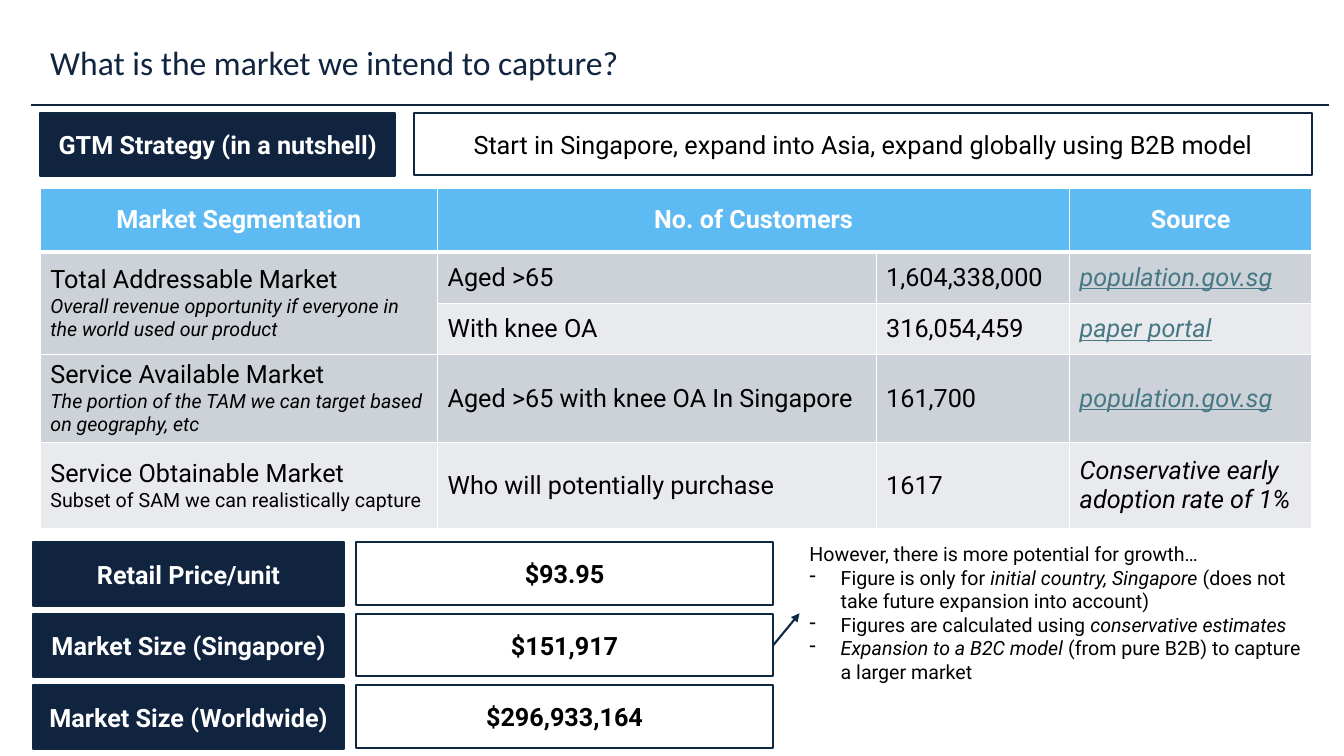
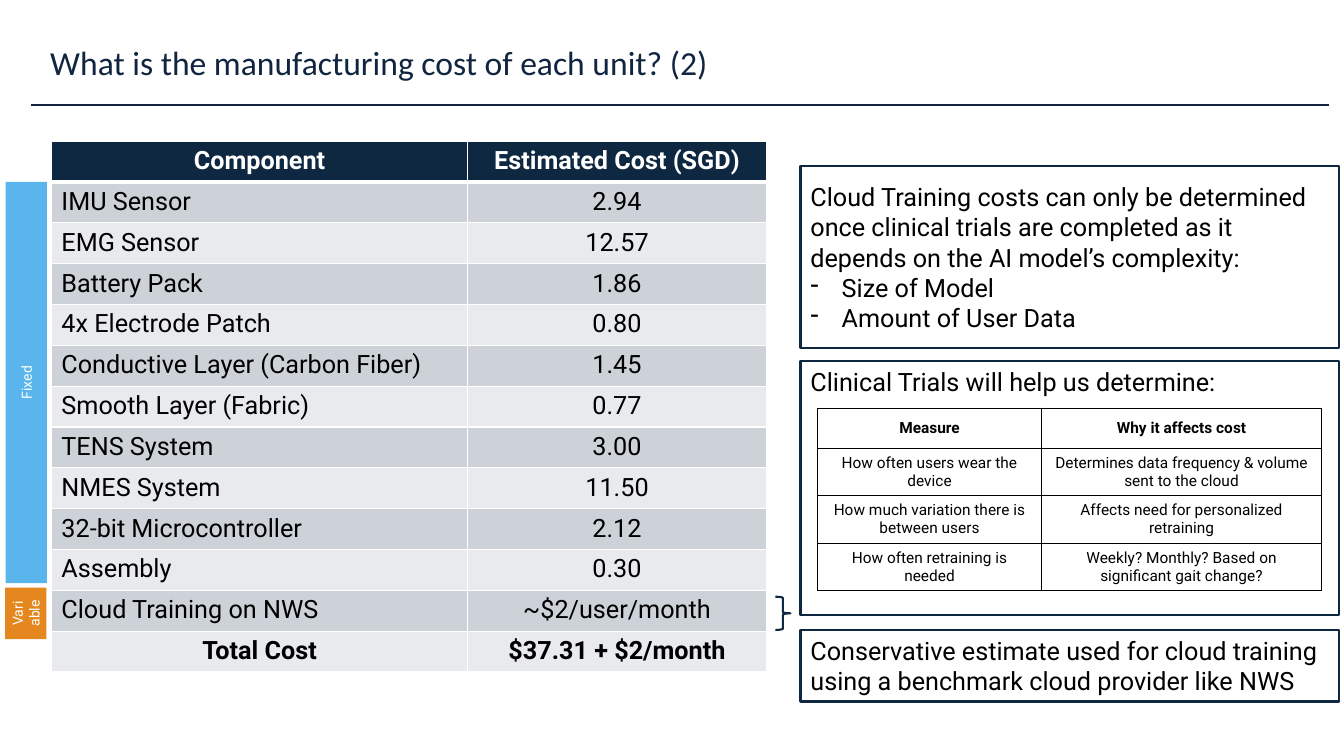
"""Builds two slides on the target market and the unit manufacturing cost."""
from dataclasses import dataclass, replace

from lxml import etree
from pptx import Presentation
from pptx.dml.color import RGBColor
from pptx.enum.shapes import MSO_CONNECTOR, MSO_SHAPE
from pptx.enum.text import MSO_ANCHOR, PP_ALIGN
from pptx.oxml.ns import qn
from pptx.util import Inches, Pt

STRAIGHT = MSO_CONNECTOR.STRAIGHT
RECTANGLE = MSO_SHAPE.RECTANGLE
BRACE = MSO_SHAPE.RIGHT_BRACE
TOP, MIDDLE = MSO_ANCHOR.TOP, MSO_ANCHOR.MIDDLE
LEFT, CENTER = PP_ALIGN.LEFT, PP_ALIGN.CENTER
LEFT_SIDE, RIGHT_SIDE = 1, 3


@dataclass(frozen=True)
class Theme:
    title_font: str = "Calibri"
    body_font: str = "Roboto"
    title: str = "112541"
    navy: str = "10233F"
    outline: str = "0E2841"
    sky: str = "5DBAF3"
    fixed: str = "59B5EC"
    variable: str = "E3871E"
    link: str = "467886"
    black: str = "000000"
    white: str = "FFFFFF"
    bands: tuple = ("E8EAED", "CCD2D8")
    title_size: int = 24
    body_size: int = 18
    note_size: int = 14
    small_size: int = 11
    tag_size: int = 10
    line_width: float = 1.5


THEME = Theme()


@dataclass(frozen=True)
class Text:
    content: str
    size: int = THEME.body_size
    color: str = THEME.black
    bold: bool = False
    italic: bool = False
    underline: bool = False
    align: PP_ALIGN = LEFT
    bullet: bool = False
    font: str = THEME.body_font


def rgb(color):
    return RGBColor.from_string(color)


def heading(content, color=THEME.white, size=THEME.body_size):
    return Text(content, size, color, bold=True, align=CENTER)


def note(content, **options):
    return Text(content, THEME.note_size, **options)


def link(content):
    return Text(content, color=THEME.link, italic=True, underline=True)


class Deck:
    def __init__(self, theme):
        self.theme = theme
        self.presentation = Presentation()
        self.presentation.slide_width = Inches(13.33)
        self.presentation.slide_height = Inches(7.5)
        self.slide = None

    def add_slide(self, title):
        layout = self.presentation.slide_layouts[6]
        self.slide = self.presentation.slides.add_slide(layout)
        self.line((0.31, 1.04), (13.18, 1.04), self.theme.title)
        self.text_box((0.4, 0.37, 10.14, 0.5), Text(
            title, self.theme.title_size, self.theme.title, font=self.theme.title_font))

    def set_texts(self, frame, texts):
        for index, text in enumerate(texts):
            paragraph = frame.add_paragraph() if index else frame.paragraphs[0]
            if text.bullet:
                properties = paragraph._p.get_or_add_pPr()
                properties.set("marL", str(Inches(0.31)))
                properties.set("indent", str(-Inches(0.31)))
                etree.SubElement(properties, qn("a:buChar"), char="-")
            paragraph.alignment = text.align
            font = paragraph.font
            font.name, font.size = text.font, Pt(text.size)
            font.bold, font.italic, font.underline = text.bold, text.italic, text.underline
            font.color.rgb = rgb(text.color)
            for position, part in enumerate(text.content.split("*")):
                if part:
                    run = paragraph.add_run()
                    run.text = part
                    if position % 2:
                        run.font.italic = True

    def text_box(self, bounds, *texts):
        shape = self.slide.shapes.add_textbox(*map(Inches, bounds))
        shape.text_frame.word_wrap = True
        self.set_texts(shape.text_frame, texts)
        return shape

    def shape(self, bounds, *texts, kind=RECTANGLE, fill=None, outline=True,
              anchor=MIDDLE, rotation=0):
        shape = self.slide.shapes.add_shape(kind, *map(Inches, bounds))
        shape.shadow.inherit = False
        shape.rotation = rotation
        if fill:
            shape.fill.solid()
            shape.fill.fore_color.rgb = rgb(fill)
        else:
            shape.fill.background()
        if outline:
            shape.line.color.rgb = rgb(self.theme.outline)
            shape.line.width = Pt(self.theme.line_width)
        else:
            shape.line.fill.background()
        shape.text_frame.word_wrap = True
        shape.text_frame.vertical_anchor = anchor
        self.set_texts(shape.text_frame, texts)
        return shape

    def line(self, start, end, color):
        points = map(Inches, (*start, *end))
        connector = self.slide.shapes.add_connector(STRAIGHT, *points)
        connector.line.color.rgb = rgb(color)
        connector.line.width = Pt(self.theme.line_width)
        etree.SubElement(connector._element.spPr, qn("a:effectLst"))
        return connector

    def arrow(self, source, target):
        connector = self.line((0, 0), (1, 1), self.theme.outline)
        connector.begin_connect(source, RIGHT_SIDE)
        connector.end_connect(target, LEFT_SIDE)
        outline = connector._element.spPr.get_or_add_ln()
        etree.SubElement(outline, qn("a:tailEnd"), type="triangle")

    def borders(self, cell, color, bottom):
        properties = cell._tc.get_or_add_tcPr()
        for side in "LRTB":
            width = bottom if side == "B" else 1
            border = etree.SubElement(properties, qn(f"a:ln{side}"), w=str(Pt(width)))
            solid = etree.SubElement(border, qn("a:solidFill"))
            etree.SubElement(solid, qn("a:srgbClr"), val=color)

    def table(self, origin, columns, heights, rows, header_fill=None,
              anchor=MIDDLE, merges=()):
        bounds = (*origin, sum(columns), sum(heights))
        table = self.slide.shapes.add_table(
            len(heights), len(columns), *map(Inches, bounds)).table
        table.first_row = table.horz_banding = False
        for column, width in zip(table.columns, columns):
            column.width = Inches(width)
        for row, height in zip(table.rows, heights):
            row.height = Inches(height)
        for first, last in merges:
            table.cell(*first).merge(table.cell(*last))
        border = self.theme.white if header_fill else self.theme.black
        for row_index, row in enumerate(rows):
            fill = self.theme.bands[row_index % 2] if row_index else header_fill
            for column_index, texts in enumerate(row):
                cell = table.cell(row_index, column_index)
                thick = header_fill and not row_index
                self.borders(cell, border, 3 if thick else 1)
                if header_fill:
                    cell.fill.solid()
                    cell.fill.fore_color.rgb = rgb(fill)
                else:
                    cell.fill.background()
                cell.vertical_anchor = anchor
                self.set_texts(cell.text_frame, texts)


def build_market(deck):
    theme = deck.theme
    deck.add_slide("What is the market we intend to capture?")
    deck.shape((0.4, 1.12, 3.52, 0.63), heading("GTM Strategy (in a nutshell)"),
               fill=theme.navy)
    deck.shape((4.11, 1.12, 8.9, 0.62), Text(
        "Start in Singapore, expand into Asia, expand globally using B2B model", align=CENTER))

    total = [Text("Total Addressable Market"),
             note("Overall revenue opportunity if everyone in the world used our product",
                  italic=True)]
    available = [Text("Service Available Market"),
                 note("The portion of the TAM we can target based on geography, etc",
                      italic=True)]
    obtainable = [Text("Service Obtainable Market"),
                  note("Subset of SAM we can realistically capture")]
    population = [link("population.gov.sg")]
    rows = [
        [[heading("Market Segmentation")], [heading("No. of Customers")], [],
         [heading("Source")]],
        [total, [Text("Aged >65")], [Text("1,604,338,000")], population],
        [[], [Text("With knee OA")], [Text("316,054,459")], [link("paper portal")]],
        [available, [Text("Aged >65 with knee OA In Singapore")], [Text("161,700")],
         population],
        [obtainable, [Text("Who will potentially purchase")], [Text("1617")],
         [Text("Conservative early adoption rate of 1%", italic=True)]],
    ]
    deck.table((0.4, 1.87), (3.94, 4.35, 1.92, 2.4), (0.63, 0.51, 0.51, 0.86, 0.86),
               rows, theme.sky, merges=[((0, 1), (0, 2)), ((1, 0), (2, 0))])

    figures = [("Retail Price/unit", "$93.95"), ("Market Size (Singapore)", "$151,917"),
               ("Market Size (Worldwide)", "$296,933,164")]
    values = []
    for index, (label, value) in enumerate(figures):
        top = 5.38 + index * 0.71
        deck.shape((0.33, top, 3.08, 0.63), heading(label), fill=theme.navy)
        values.append(deck.shape((3.53, top, 4.14, 0.62), heading(value, theme.black)))

    growth = deck.text_box(
        (7.93, 5.33, 5.08, 1.51),
        note("However, there is more potential for growth…"),
        note("Figure is only for *initial country, Singapore *"
             "(does not take future expansion into account)", bullet=True),
        note("Figures are calculated using *conservative estimates*", bullet=True),
        note("*Expansion to a B2C model *(from pure B2B) to capture a larger market",
             bullet=True))
    deck.arrow(values[1], growth)


def build_cost(deck):
    theme = deck.theme
    deck.add_slide("What is the manufacturing cost of each unit? (2)")
    panel_left, panel_width = 7.94, 5.34
    deck.shape((panel_left, 1.65, panel_width, 1.8),
               Text("Cloud Training costs can only be determined once clinical trials are "
                    "completed as it depends on the AI model’s complexity:"),
               Text("Size of Model", bullet=True), Text("Amount of User Data", bullet=True))
    deck.shape((panel_left, 3.58, panel_width, 2.52),
               Text("Clinical Trials will help us determine:"), anchor=TOP)
    deck.shape((panel_left, 6.25, panel_width, 0.71),
               Text("Conservative estimate used for cloud training using a benchmark "
                    "cloud provider like NWS"), anchor=TOP)
    deck.shape((7.69, 5.92, 0.15, 0.33), kind=BRACE)

    measures = [
        ("Measure", "Why it affects cost"),
        ("How often users wear the device",
         "Determines data frequency & volume sent to the cloud"),
        ("How much variation there is between users",
         "Affects need for personalized retraining"),
        ("How often retraining is needed",
         "Weekly? Monthly? Based on significant gait change?"),
    ]
    rows = [[[replace(heading(content, theme.black, theme.small_size), bold=index == 0)]
             for content in row] for index, row in enumerate(measures)]
    deck.table((8.11, 4.05), (2.22, 2.78), (0.4, 0.47, 0.47, 0.47), rows)

    tag = Text("Fixed", theme.tag_size, theme.white, align=CENTER)
    deck.shape((-1.73, 3.59, 3.98, 0.41), tag, fill=theme.fixed, outline=False, rotation=270)
    deck.shape((0, 5.88, 0.51, 0.41), replace(tag, content="Variable"),
               fill=theme.variable, outline=False, rotation=270)

    costs = [
        ("IMU Sensor", "2.94"), ("EMG Sensor", "12.57"), ("Battery Pack", "1.86"),
        ("4x Electrode Patch", "0.80"), ("Conductive Layer (Carbon Fiber)", "1.45"),
        ("Smooth Layer (Fabric)", "0.77"), ("TENS System", "3.00"),
        ("NMES System", "11.50"), ("32-bit Microcontroller", "2.12"),
        ("Assembly", "0.30"), ("Cloud Training on NWS", "~$2/user/month"),
    ]
    rows = [[[heading("Component")], [heading("Estimated Cost (SGD)")]]]
    rows += [[[Text(name)], [Text(cost, align=CENTER)]] for name, cost in costs]
    rows.append([[heading(content, theme.black)]
                 for content in ("Total Cost", "$37.31 + $2/month")])
    deck.table((0.51, 1.4), (4.13, 2.96), [5.27 / len(rows)] * len(rows), rows,
               theme.outline, anchor=TOP)


def main():
    deck = Deck(THEME)
    build_market(deck)
    build_cost(deck)
    deck.presentation.save("out.pptx")


if __name__ == "__main__":
    main()
